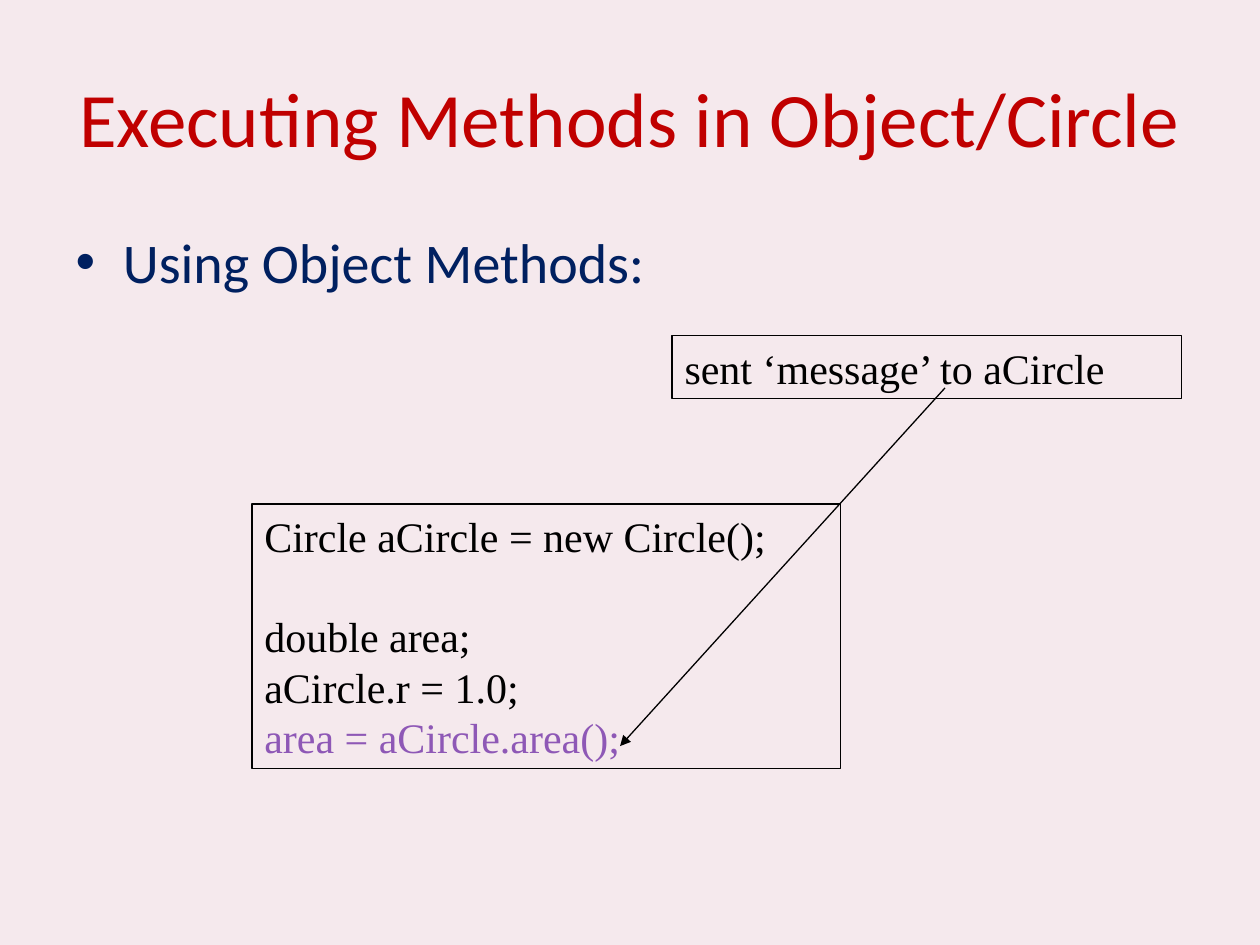
from pptx import Presentation
from pptx import util as u
from pptx.dml.color import RGBColor
from pptx.enum import shapes, text
from pptx.oxml.ns import qn
from lxml import etree

BACKGROUND = RGBColor(0xF5, 0xE9, 0xED)
RED = RGBColor(0xC0, 0x00, 0x00)
NAVY = RGBColor(0x00, 0x20, 0x60)
BLACK = RGBColor(0x00, 0x00, 0x00)
PURPLE = RGBColor(0x8E, 0x58, 0xB6)
HEADING_FONT = "Calibri"
CODE_FONT = "Times New Roman"
CODE_LINE = u.Pt(28.8)


def write_text(paragraph, content, *, size, font, color,
               align=text.PP_ALIGN.LEFT, before=0, line=None):
    paragraph.alignment = align
    paragraph.space_before = u.Pt(before)
    paragraph.line_spacing = line
    run = paragraph.add_run()
    run.text = content
    run.font.size = u.Pt(size)
    run.font.name = font
    run.font.color.rgb = color


def fill_placeholder(placeholder, box, content, **text_format):
    placeholder.left, placeholder.top, placeholder.width, placeholder.height = map(u.Cm, box)
    frame = placeholder.text_frame
    frame.auto_size = text.MSO_AUTO_SIZE.NONE
    write_text(frame.paragraphs[0], content, font=HEADING_FONT, **text_format)


def add_code_box(slide, box, lines):
    shape = slide.shapes.add_shape(shapes.MSO_SHAPE.RECTANGLE, *map(u.Cm, box))
    shape.shadow.inherit = False
    shape.fill.background()
    shape.line.color.rgb = BLACK
    shape.line.width = u.Pt(0.75)
    frame = shape.text_frame
    frame.word_wrap = True
    frame.auto_size = text.MSO_AUTO_SIZE.SHAPE_TO_FIT_TEXT
    frame.vertical_anchor = text.MSO_ANCHOR.TOP
    for index, (content, color, before) in enumerate(lines):
        paragraph = frame.add_paragraph() if index else frame.paragraphs[0]
        write_text(paragraph, content, size=24, font=CODE_FONT, color=color,
                   before=before, line=CODE_LINE)


def add_arrow(slide, start, end):
    arrow = slide.shapes.add_connector(
        shapes.MSO_CONNECTOR.STRAIGHT, *map(u.Cm, start + end))
    arrow.line.color.rgb = BLACK
    arrow.line.width = u.Pt(0.75)
    etree.SubElement(arrow.line._get_or_add_ln(), qn("a:tailEnd"), type="triangle")
    etree.SubElement(arrow._element.spPr, qn("a:effectLst"))


def build_methods_slide(presentation):
    slide = presentation.slides.add_slide(presentation.slide_layouts[1])
    slide.background.fill.solid()
    slide.background.fill.fore_color.rgb = BACKGROUND
    fill_placeholder(slide.shapes.title, (1.27, 0.76, 22.86, 3.18),
                     "Executing Methods in Object/Circle",
                     size=44, color=RED, align=text.PP_ALIGN.CENTER)
    fill_placeholder(slide.placeholders[1], (1.27, 4.45, 22.86, 12.57),
                     "Using Object Methods:", size=32, color=NAVY, before=8)
    add_code_box(slide, (5.08, 10.16, 11.86, 5.33), [
        ("Circle aCircle = new Circle();", BLACK, 0),
        ("double area;", BLACK, CODE_LINE.pt),
        ("aCircle.r = 1.0;", BLACK, 0),
        ("area = aCircle.area();", PURPLE, 0),
    ])
    add_arrow(slide, (19.05, 7.82), (12.5, 15.04))
    add_code_box(slide, (13.55, 6.77, 10.27, 1.27),
                 [("sent ‘message’ to aCircle", BLACK, 0)])


def main():
    presentation = Presentation()
    presentation.slide_width = u.Cm(25.4)
    presentation.slide_height = u.Cm(19.05)
    build_methods_slide(presentation)
    presentation.save("out.pptx")


if __name__ == "__main__":
    main()
